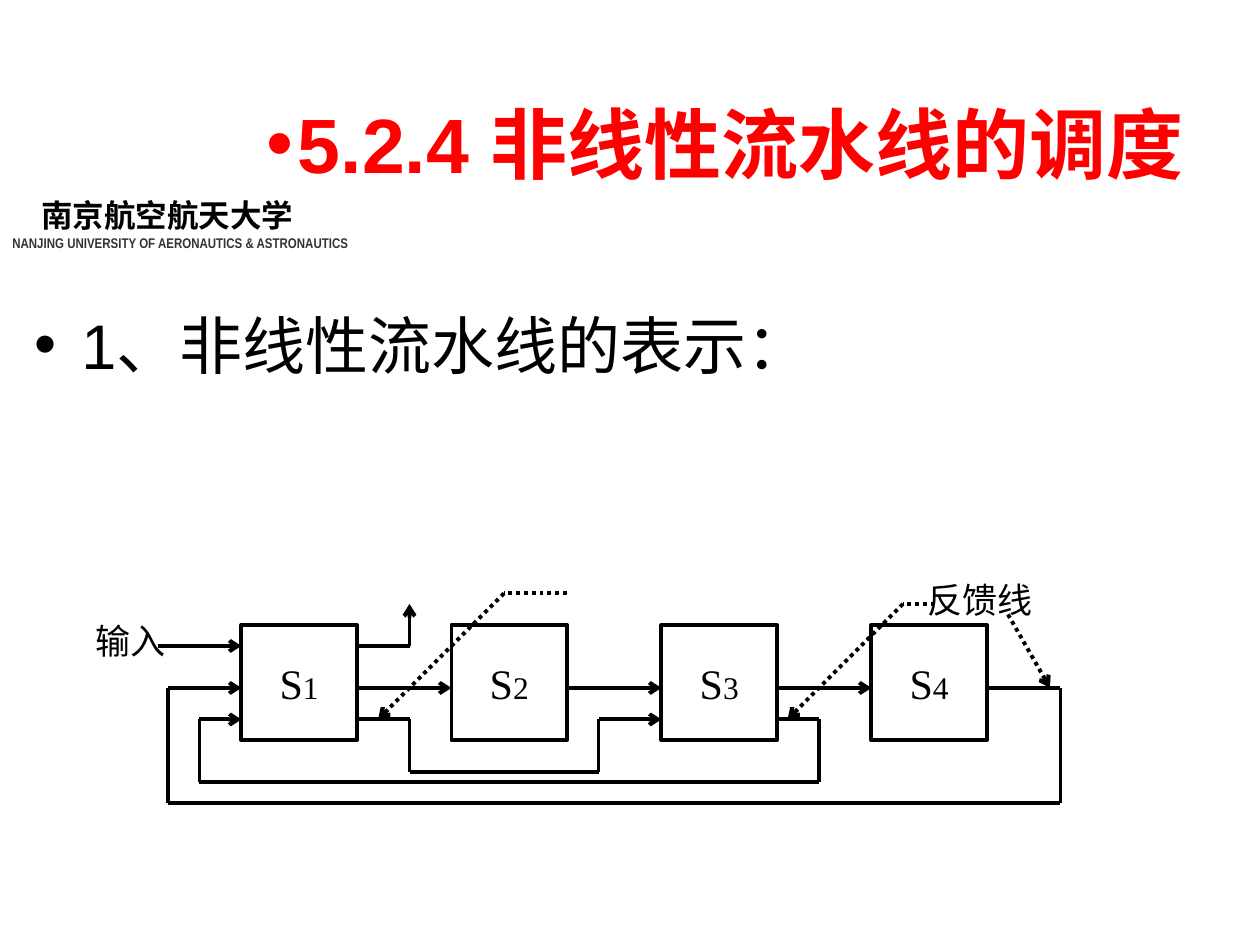
import itertools

import pptx
import pptx.dml.color
import pptx.enum.dml
import pptx.enum.shapes
import pptx.enum.text
import pptx.oxml
import pptx.oxml.ns
import pptx.util

COLORS = {"ink": "000000", "title": "FF0000", "motto": "333333"}
SERIF = "Times New Roman"
TITLE = "5.2.4 非线性流水线的调度"
TOPIC = "1、非线性流水线的表示："
SCHOOL = "南京航空航天大学"
SCHOOL_ENGLISH = "NANJING UNIVERSITY OF AERONAUTICS & ASTRONAUTICS"

CELL = 1 / 12
DIAGRAM_TOP = 4.96
STAGES = ["1", "2", "3", "4"]
FIRST_COLUMN, STAGE_SIZE, STAGE_STEP = 23, 11, 20
FLOWS = [
    [(15, 2), (23, 2)],
    [(34, 6), (43, 6)],
    [(54, 6), (63, 6)],
    [(74, 6), (83, 6)],
    [(34, 2), (39, 2), (39, -2)],
    [(34, 9), (39, 9), (39, 14), (57, 14), (57, 9), (63, 9)],
    [(74, 9), (78, 9), (78, 15), (19, 15), (19, 9), (23, 9)],
    [(94, 6), (101, 6), (101, 17), (16, 17), (16, 6), (23, 6)],
]
POINTERS = [
    [(54, -3), (48, -3), (36, 9)],
    [(89, -2), (86, -2), (75, 9)],
    [(96, -1), (100, 6)],
]
LABELS = [("输入", 0.66, 4.87, 0.83), ("反馈线", 7.26, 4.54, 1.33)]


def color(name):
    return pptx.dml.color.RGBColor.from_string(COLORS[name])


def xml(tag, attributes="", inner=""):
    namespace = pptx.oxml.ns.nsdecls("a")
    return pptx.oxml.parse_xml(f"<a:{tag} {namespace} {attributes}>{inner}</a:{tag}>")


def add_run(paragraph, text, size, font="Arial", tint="ink", bold=False):
    run = paragraph.add_run()
    run.text = text
    run.font.size = pptx.util.Pt(size)
    run.font.name = font
    run.font.bold = bold
    run.font.color.rgb = color(tint)


def place(shape, left, top, width, height):
    shape.left, shape.top, shape.width, shape.height = map(
        pptx.util.Inches, (left, top, width, height))


def add_text_box(parent, left, top, width, height):
    box = parent.add_textbox(*map(pptx.util.Inches, (left, top, width, height)))
    box.text_frame.word_wrap = True
    return box.text_frame


def grid_point(column, row):
    return (pptx.util.Inches(column * CELL),
            pptx.util.Inches(DIAGRAM_TOP + row * CELL))


def draw_route(parent, points, dotted=False):
    for start, end in itertools.pairwise(points):
        segment = parent.add_connector(
            pptx.enum.shapes.MSO_CONNECTOR.STRAIGHT, *grid_point(*start), *grid_point(*end))
        segment.line.width = pptx.util.Pt(2.25)
        segment.line.color.rgb = color("ink")
        if dotted:
            segment.line.dash_style = pptx.enum.dml.MSO_LINE.ROUND_DOT
        if end == points[-1]:
            segment.line._get_or_add_ln().append(xml("tailEnd", 'type="arrow"'))
        segment._element.spPr.append(xml("effectLst"))


def fill_headings(slide):
    title, topic = slide.shapes.title, slide.placeholders[1]
    place(title, 0.17, 0.68, 9.33, 0.9)
    place(topic, 0.17, 2.38, 9.33, 3.79)
    for heading in (title, topic):
        heading.text_frame.auto_size = pptx.enum.text.MSO_AUTO_SIZE.NONE

    paragraph = title.text_frame.paragraphs[0]
    paragraph.alignment = pptx.enum.text.PP_ALIGN.RIGHT
    properties = paragraph._p.get_or_add_pPr()
    properties.set("marL", str(pptx.util.Inches(1.25)))
    properties.set("indent", str(pptx.util.Inches(-0.25)))
    properties.append(xml("buClr", inner=f'<a:srgbClr val="{COLORS["title"]}"/>'))
    properties.append(xml("buFont", 'typeface="Arial"'))
    properties.append(xml("buChar", 'char="•"'))
    add_run(paragraph, TITLE, 44, tint="title", bold=True)

    paragraph = topic.text_frame.paragraphs[0]
    paragraph.space_before = pptx.util.Pt(0)
    add_run(paragraph, TOPIC, 36)


def add_school(slide):
    frame = add_text_box(slide.shapes, 0, 1.51, 3.03, 0.67)
    name = frame.paragraphs[0]
    name._p.get_or_add_pPr().set("marL", str(pptx.util.Inches(0.23)))
    add_run(name, SCHOOL, 18, bold=True)
    add_run(frame.add_paragraph(), SCHOOL_ENGLISH, 8, "Arial Narrow", "motto", True)


def draw_pipeline(slide):
    diagram = slide.shapes.add_group_shape().shapes
    side = pptx.util.Inches(STAGE_SIZE * CELL)
    for index, number in enumerate(STAGES):
        stage = diagram.add_shape(
            pptx.enum.shapes.MSO_SHAPE.RECTANGLE,
            *grid_point(FIRST_COLUMN + index * STAGE_STEP, 0), side, side)
        stage.shadow.inherit = False
        stage.fill.background()
        stage.line.color.rgb = color("ink")
        stage.line.width = pptx.util.Pt(2.25)
        stage.text_frame.word_wrap = False
        stage.text_frame.vertical_anchor = pptx.enum.text.MSO_ANCHOR.MIDDLE
        paragraph = stage.text_frame.paragraphs[0]
        paragraph.alignment = pptx.enum.text.PP_ALIGN.CENTER
        add_run(paragraph, "S", 24, SERIF)
        add_run(paragraph, number, 18, SERIF)
    for flow in FLOWS:
        draw_route(diagram, flow)
    for pointer in POINTERS:
        draw_route(diagram, pointer, dotted=True)
    for text, left, top, width in LABELS:
        frame = add_text_box(diagram, left, top, width, 0.44)
        add_run(frame.paragraphs[0], text, 20, SERIF)


def main():
    deck = pptx.Presentation()
    deck.slide_width = pptx.util.Inches(10)
    deck.slide_height = pptx.util.Inches(7.5)
    slide = deck.slides.add_slide(deck.slide_layouts[1])
    add_school(slide)
    fill_headings(slide)
    draw_pipeline(slide)
    deck.save("out.pptx")


if __name__ == "__main__":
    main()
